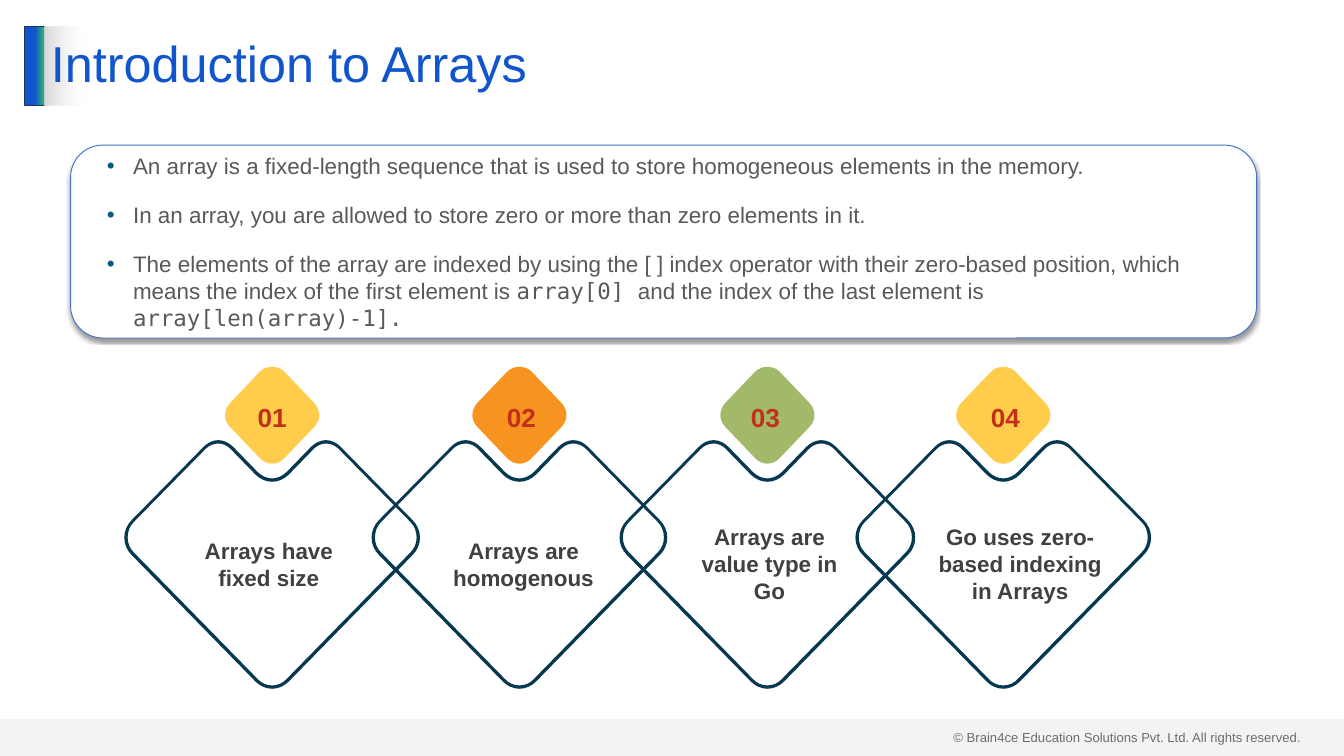
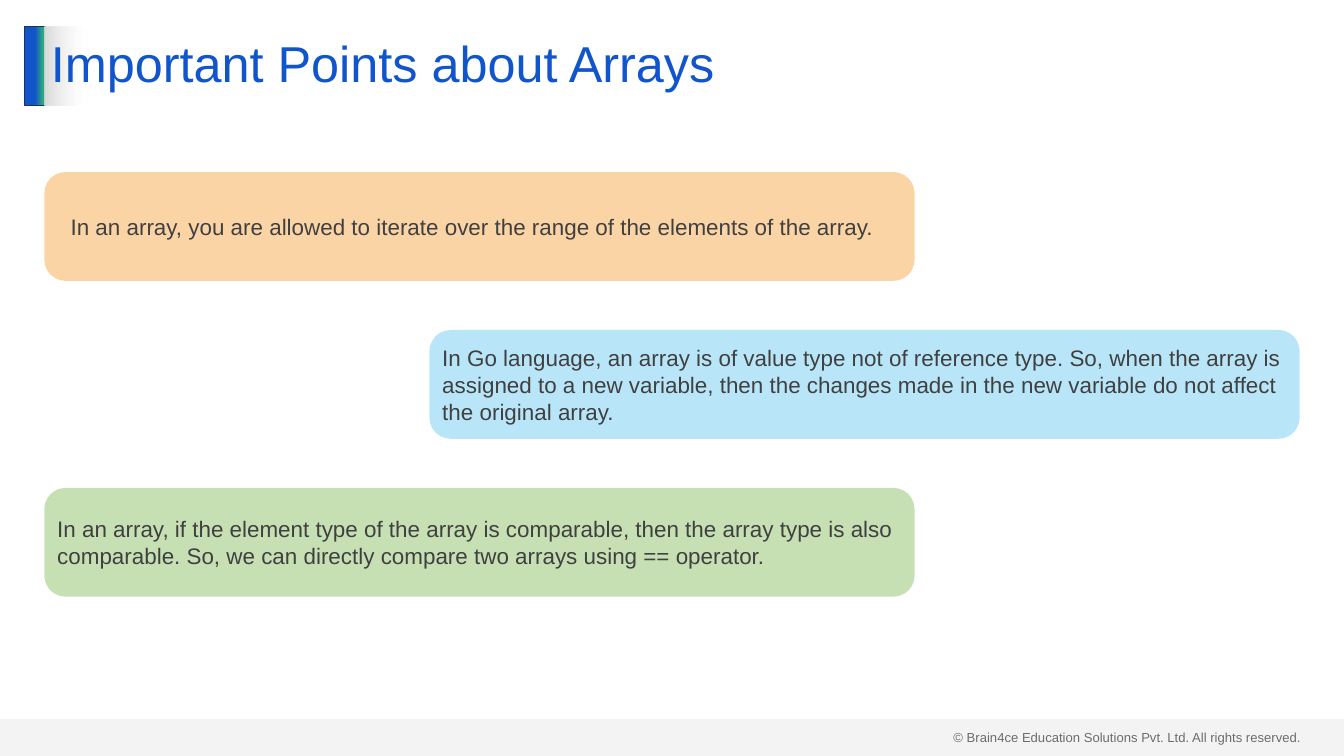
import pptx
import pptx.dml.color
import pptx.enum.shapes
import pptx.enum.text
import pptx.oxml
import pptx.oxml.ns
import pptx.util
from lxml import etree

Inches = pptx.util.Inches
Pt = pptx.util.Pt
SHAPE = pptx.enum.shapes.MSO_SHAPE
ALIGN = pptx.enum.text.PP_ALIGN
ANCHOR = pptx.enum.text.MSO_ANCHOR
qn = pptx.oxml.ns.qn

SANS, MONO = "Arial", "DejaVu Sans Mono"
BLUE, GREEN, NAVY = "1155CC", "2EA87D", "063951"
GREY, DARK, MEDIUM = "D9D9D9", "404040", "595959"
COPYRIGHT = "© Brain4ce Education Solutions Pvt. Ltd. All rights reserved."

# Left halves of outlines, as (x from the centre line, y from the top):
# a step of one point is a line, a step of three points is a Bezier curve.
FRAME_OUTSIDE = [
    [(0, 3.7)],
    [(-.09, 3.7), (-.18, 3.66), (-.25, 3.59)], [(-2.09, 1.71)],
    [(-2.16, 1.64), (-2.2, 1.55), (-2.2, 1.45)],
    [(-2.2, 1.35), (-2.16, 1.26), (-2.09, 1.19)], [(-1.02, .1)],
    [(-.96, .04), (-.89, 0), (-.8, 0)],
    [(-.72, 0), (-.64, .04), (-.58, .1)], [(-.22, .47)],
    [(-.16, .53), (-.08, .57), (0, .57)],
]
FRAME_INSIDE = [
    [(0, 3.65)],
    [(-.08, 3.65), (-.16, 3.62), (-.22, 3.55)], [(-2.06, 1.67)],
    [(-2.12, 1.61), (-2.15, 1.53), (-2.15, 1.45)],
    [(-2.15, 1.36), (-2.12, 1.28), (-2.06, 1.22)], [(-.99, .13)],
    [(-.94, .08), (-.87, .05), (-.8, .05)],
    [(-.73, .05), (-.67, .08), (-.62, .13)], [(-.25, .51)],
    [(-.18, .58), (-.09, .62), (0, .62)],
]
BADGE = [
    [(0, 0)],
    [(-.07, 0), (-.13, .02), (-.18, .07)], [(-.62, .53)],
    [(-.67, .58), (-.7, .65), (-.7, .72)],
    [(-.7, .79), (-.67, .85), (-.62, .9)], [(-.18, 1.36)],
    [(-.13, 1.41), (-.07, 1.44), (0, 1.44)],
]


def rgb(value):
    return pptx.dml.color.RGBColor.from_string(value)


def color_xml(value, opacity=100):
    return (f'<a:srgbClr xmlns:a="{pptx.oxml.ns.nsuri("a")}" val="{value}">'
            f'<a:alpha val="{opacity * 1000}"/></a:srgbClr>')


def paint(shape, color, opacity=100):
    """Flat fill, without line or shadow."""
    shape.shadow.inherit = False
    shape.fill.solid()
    shape.fill.fore_color.rgb = rgb(color)
    shape.line.fill.background()
    if opacity < 100:
        choice = shape._element.spPr.find(qn("a:solidFill"))
        choice.replace(choice[0], pptx.oxml.parse_xml(color_xml(color, opacity)))


def paint_gradient(shape, stops):
    """Left to right gradient of (position, color, opacity) stops."""
    shape.shadow.inherit = False
    shape.line.fill.background()
    shape.fill.gradient()
    shape.fill.gradient_angle = 0
    stop_list = shape._element.spPr.find(qn("a:gradFill")).find(qn("a:gsLst"))
    for stop in list(stop_list):
        stop_list.remove(stop)
    for position, color, opacity in stops:
        stop = etree.SubElement(stop_list, qn("a:gs"), pos=str(position * 1000))
        stop.append(pptx.oxml.parse_xml(color_xml(color, opacity)))


def add_box(slide, kind, box):
    return slide.shapes.add_shape(kind, *map(Inches, box))


def set_font(font, size, color, bold=False, name=SANS):
    font.name, font.size, font.bold = name, Pt(size), bold
    font.color.rgb = rgb(color)


def write(shape, text, size, color, bold=False, align=ALIGN.LEFT,
          anchor=ANCHOR.MIDDLE, wrap=True, side=0.1):
    frame = shape.text_frame
    frame.word_wrap, frame.vertical_anchor = wrap, anchor
    frame.margin_left = frame.margin_right = Inches(side)
    paragraph = frame.paragraphs[0]
    paragraph.text, paragraph.alignment = text, align
    set_font(paragraph.font, size, color, bold)
    return paragraph


def add_text(slide, box, text, size, color, **style):
    return write(slide.shapes.add_textbox(*map(Inches, box)), text, size, color, **style)


def add_footer(slide, left, top, width, height):
    add_text(slide, (left + 14.09, top + 0.1, 5.41, 0.34), COPYRIGHT, 14, DARK,
             anchor=ANCHOR.TOP)
    paint(add_box(slide, SHAPE.RECTANGLE, (left, top, width, height)), GREY, 29)


def add_title(slide, text, left, top, width, height):
    accent = add_box(slide, SHAPE.RECTANGLE, (left, top, 0.3, height))
    paint_gradient(accent, [(51, BLUE, 100), (90, GREEN, 100), (100, GREEN, 100)])
    accent.line.color.rgb = rgb("1E3256")
    accent.line.width = Pt(1)
    band = add_box(slide, SHAPE.RECTANGLE, (left + 0.29, top, width - 0.29, height))
    paint_gradient(band, [(0, GREY, 100), (0, GREY, 100), (3, "FFFFFF", 50)])
    write(band, text, 54, BLUE).line_spacing = 0.9


def add_slide(deck, title):
    slide = deck.slides.add_slide(deck.slide_layouts[6])
    add_footer(slide, 0, 10.7, 20, 0.55)
    add_title(slide, title, 0.37, 0.39, 18.96, 1.18)
    return slide


def add_bullet(paragraph):
    properties = paragraph._p.get_or_add_pPr()
    properties.set("marL", str(Inches(0.59)))
    properties.set("indent", str(Inches(-0.39)))
    bullet_color = etree.SubElement(properties, qn("a:buClr"))
    bullet_color.append(pptx.oxml.parse_xml(color_xml("095A82")))
    etree.SubElement(properties, qn("a:buFont"), typeface=SANS)
    etree.SubElement(properties, qn("a:buChar"), char="•")


def add_definition(slide, points, box):
    """Shadowed card of bullets; each bullet is a list of (text, font) runs."""
    card = add_box(slide, SHAPE.ROUNDED_RECTANGLE, box)
    paint(card, "FFFFFF")
    card.line.color.rgb = rgb("4472C4")
    card.line.width = Pt(1)
    shadow = etree.SubElement(
        card._element.spPr.find(qn("a:effectLst")), qn("a:outerShdw"),
        blurRad=str(Pt(4)), dist=str(Pt(3)), dir="5400000", rotWithShape="0")
    shadow.append(pptx.oxml.parse_xml(color_xml("000000", 40)))

    frame = card.text_frame
    frame.word_wrap, frame.vertical_anchor = True, ANCHOR.MIDDLE
    frame.margin_left = frame.margin_right = Inches(0.2)
    frame.margin_top = frame.margin_bottom = Inches(0.1)
    for index, runs in enumerate(points):
        paragraph = frame.add_paragraph() if index else frame.paragraphs[0]
        add_bullet(paragraph)
        paragraph.alignment = ALIGN.LEFT
        paragraph.space_before = Pt(12 if index else 0)
        paragraph.space_after = Pt(12)
        set_font(paragraph.font, 24, MEDIUM)
        for text, font in runs:
            run = paragraph.add_run()
            run.text = text
            if font != SANS:
                run.font.name = font


def mirrored(half):
    """The whole outline: the left half, then its mirror image walked back."""
    back = []
    for before, step in zip(half[-2::-1], half[:0:-1]):
        points = step[-2::-1] + before[-1:]
        back.append([(-x, y) for x, y in points])
    return half + back


def add_outline(slide, center, top, color, *halves):
    """Filled freeform; a second outline cuts a hole in the first."""
    outlines = [[[(Inches(center + x), Inches(top + y)) for x, y in step]
                 for step in mirrored(half)] for half in halves]
    builder = slide.shapes.build_freeform(*outlines[0][0][0])
    for index, (start, *steps) in enumerate(outlines):
        if index:
            builder.move_to(*start[0])
        builder.add_line_segments([step[-1] for step in steps], close=True)
    shape = builder.convert_to_shape()
    paint(shape, color)

    all_steps = [step for outline in outlines for step in outline[1:]]
    for line, step in zip(list(shape._element.iter(qn("a:lnTo"))), all_steps):
        if len(step) == 3:
            curve = etree.Element(qn("a:cubicBezTo"))
            for x, y in step:
                etree.SubElement(curve, qn("a:pt"), x=str(x - shape.left),
                                 y=str(y - shape.top))
            line.getparent().replace(line, curve)


def add_feature(slide, center, top, number, number_shift, color, text, label):
    """Numbered diamond; label is (shift from centre, drop, width, height)."""
    add_outline(slide, center, top + 1.09, NAVY, FRAME_OUTSIDE, FRAME_INSIDE)
    add_outline(slide, center, top, color, BADGE)
    shift, drop, width, height = label
    add_text(slide, (center + shift - width / 2, top + drop, width, height), text, 24,
             DARK, bold=True, align=ALIGN.CENTER, anchor=ANCHOR.BOTTOM, side=0)
    add_text(slide, (center + number_shift - 0.32, top + 0.46, 0.64, 0.57), number, 28,
             "C13018", bold=True, align=ALIGN.CENTER, anchor=ANCHOR.TOP, wrap=False)


def add_point(slide, text, color, box, indent=0):
    card = add_box(slide, SHAPE.ROUNDED_RECTANGLE, box)
    card.adjustments[0] = 0.195
    paint(card, color, 66)
    paragraph = write(card, text, 24, DARK)
    if indent:
        paragraph._p.get_or_add_pPr().set("marL", str(Inches(indent)))


def build_introduction(deck):
    slide = add_slide(deck, "Introduction to Arrays")
    add_definition(slide, [
        [("An array is a fixed-length sequence that is used to store homogeneous "
          "elements in the memory.", SANS)],
        [("In an array, you are allowed to store zero or more than zero elements in it.",
          SANS)],
        [("The elements of the array are indexed by using the [ ] index operator with "
          "their zero-based position, which means the index of the first element is ", SANS),
         ("array[0] ", MONO),
         ("and the index of the last element is ", SANS),
         ("array[len(array)-1].", MONO)],
    ], (1.05, 2.16, 17.65, 2.87))
    features = [
        (4.05, 0, "FFCC4C", "Arrays have fixed size", (-0.05, 2.47, 2.23, 0.91)),
        (7.73, 0.03, "F7931F", "Arrays are homogenous", (0.06, 2.47, 2.23, 0.91)),
        (11.42, -0.03, "A2B969", "Arrays are value type in Go", (0.03, 2.27, 2.29, 1.31)),
        (14.93, 0.03, "FFCC4C", "Go uses zero-based indexing in Arrays",
         (0.25, 2.26, 2.61, 1.31)),
    ]
    for number, (center, shift, color, text, label) in enumerate(features, 1):
        add_feature(slide, center, 5.46, f"{number:02}", shift, color, text, label)


def build_important_points(deck):
    slide = add_slide(deck, "Important Points about Arrays")
    left, right = 0.66, 6.39
    points = [
        (left, "FABE79", 0.2, "In an array, you are allowed to iterate over the range of "
         "the elements of the array."),
        (right, "94DAF5", 0, "In Go language, an array is of value type not of reference "
         "type. So, when the array is assigned to a new variable, then the changes made in "
         "the new variable do not affect the original array."),
        (left, "A9D18E", 0, "In an array, if the element type of the array is comparable, "
         "then the array type is also comparable. So, we can directly compare two arrays "
         "using == operator."),
    ]
    for row, (x, color, indent, text) in enumerate(points):
        add_point(slide, text, color, (x, 2.56 + 2.35 * row, 12.95, 1.62), indent)


def main():
    deck = pptx.Presentation()
    deck.slide_width, deck.slide_height = Inches(20), Inches(11.25)
    build_introduction(deck)
    build_important_points(deck)
    deck.save("out.pptx")


if __name__ == "__main__":
    main()
